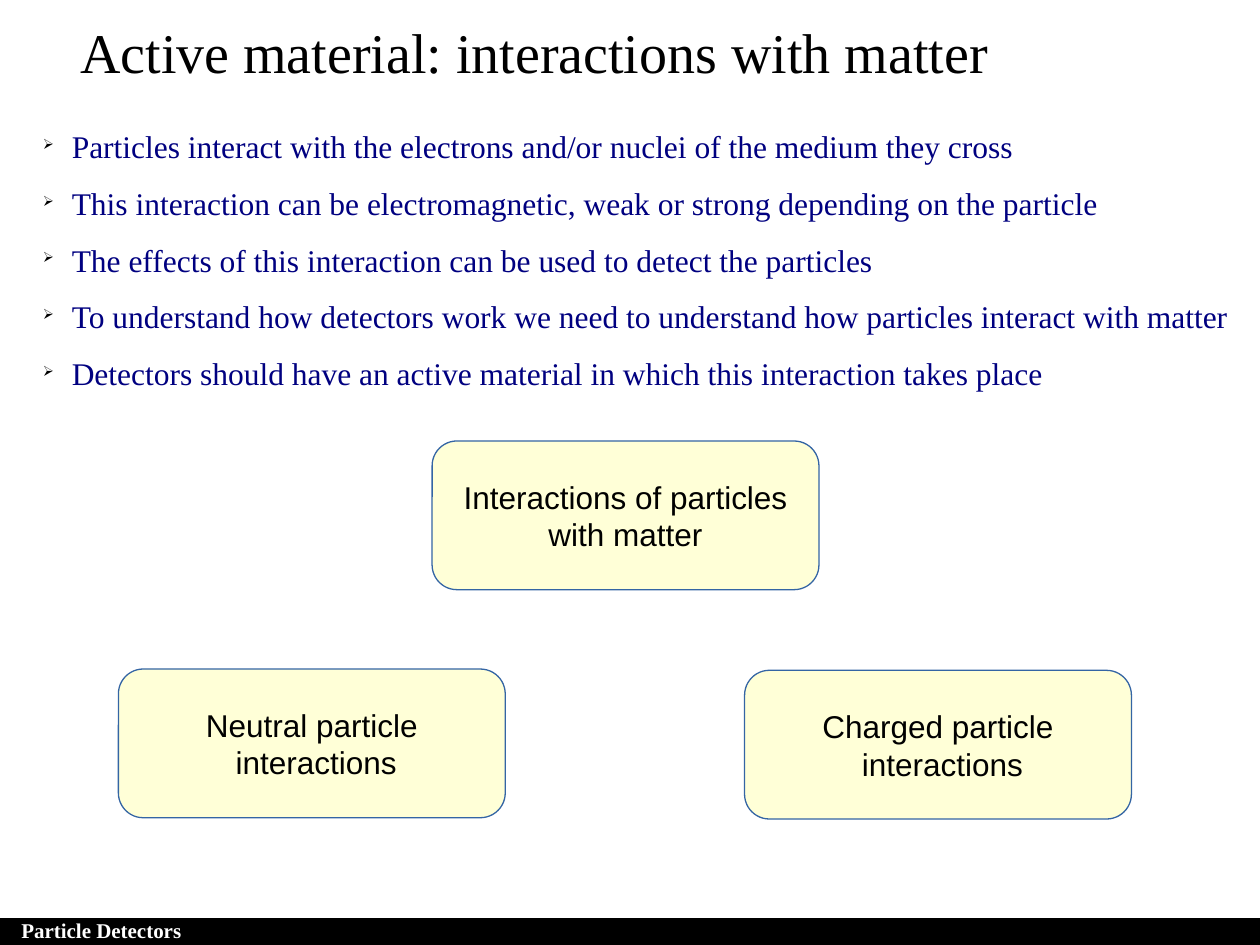
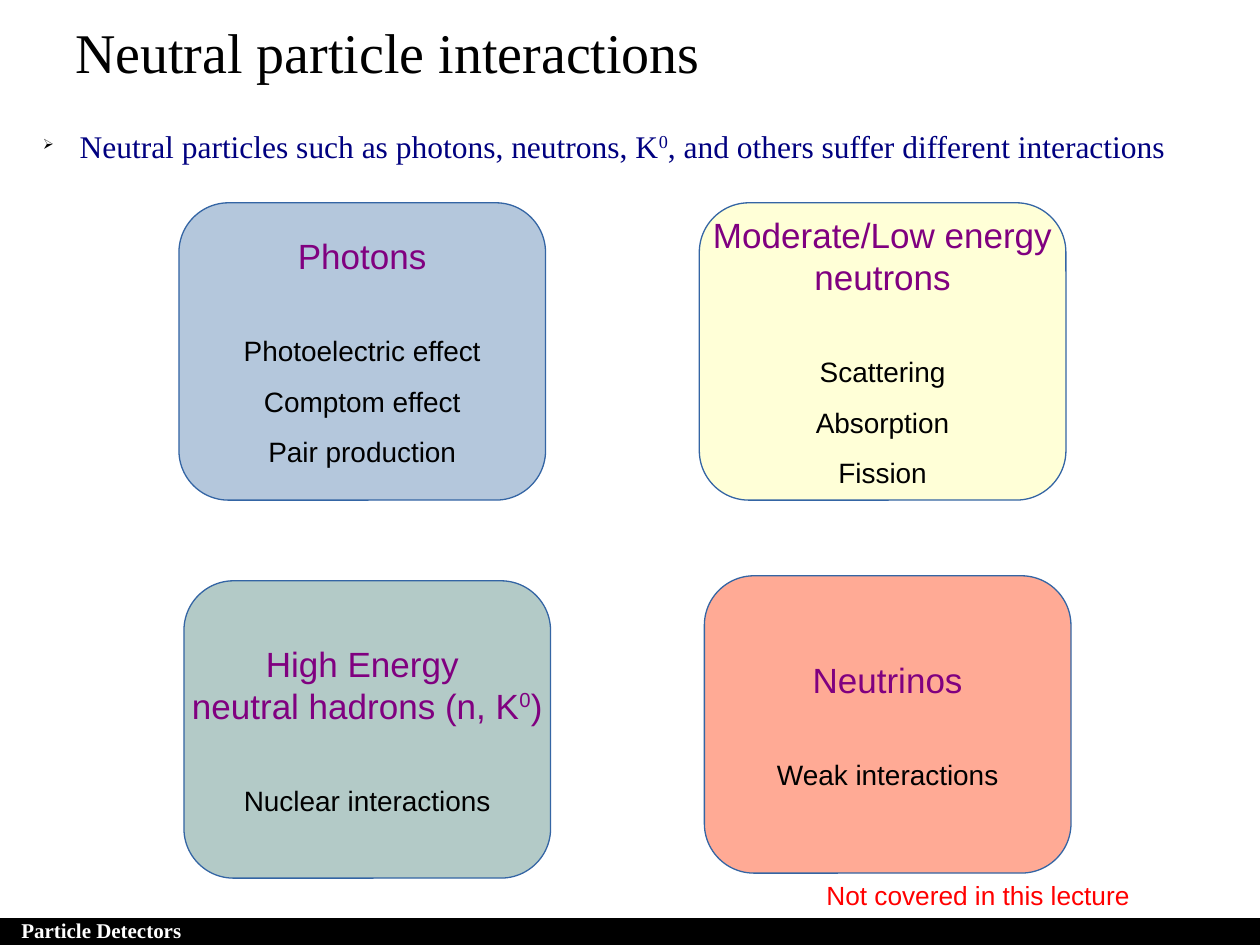
import pptx
import pptx.util
import pptx.dml.color
import pptx.enum.shapes
import pptx.enum.text
import pptx.oxml.ns
from lxml import etree

Inches, Pt = pptx.util.Inches, pptx.util.Pt
ALIGN = pptx.enum.text.PP_ALIGN
ANCHOR = pptx.enum.text.MSO_ANCHOR
SHAPE = pptx.enum.shapes.MSO_SHAPE

COLORS = {
    "black": "000000", "white": "FFFFFF", "navy": "000080", "purple": "800080",
    "red": "FF0000", "outline": "3465A4", "yellow": "FFFFD7", "blue": "B4C7DC",
    "green": "B3CAC7", "salmon": "FFAA95",
}
SERIF, SANS = "Times New Roman", "Arial"
STYLES = {
    "title": {"name": SERIF, "size": Pt(32), "color": "black"},
    "footer": {"name": SERIF, "size": Pt(12), "bold": True, "color": "white"},
    "bullet": {"name": SERIF, "size": Pt(18), "color": "navy"},
    "box": {"name": SANS, "size": Pt(18), "color": "black"},
    "heading": {"name": SANS, "size": Pt(20), "color": "purple"},
    "item": {"name": SANS, "size": Pt(16), "color": "black"},
    "note": {"name": SANS, "size": Pt(15), "color": "red"},
}
FOOTER = "Particle Detectors"
BOX_SIZE, CARD_SIZE = (3.07, 1.18), (2.91, 2.36)
HEADING_GAP = Pt(23)

SLIDES = [
    {
        "title": "Active material: interactions with matter",
        "title_at": (0.07, 0.09, 8.35, 0.71),
        "bullets": [
            "Particles interact with the electrons and/or nuclei of the medium they cross",
            "This interaction can be electromagnetic, weak or strong depending on the particle",
            "The effects of this interaction can be used to detect the particles",
            "To understand how detectors work we need to understand how particles interact with matter",
            "Detectors should have an active material in which this interaction takes place",
        ],
        "bullets_height": 4.94,
        "boxes": [
            ((0.94, 5.31), ["Neutral particle", " interactions"]),
            ((5.91, 5.32), ["Charged particle", " interactions"]),
            ((3.43, 3.5), ["Interactions of particles", "with matter"]),
        ],
    },
    {
        "title": "Neutral particle interactions",
        "title_at": (-0.05, 0.09, 6.26, 0.71),
        "bullets": [
            " Neutral particles such as photons, neutrons, K^0^, and others suffer different interactions",
        ],
        "bullets_height": 0.95,
        "cards": [
            ((1.42, 1.61), "blue", ["Photons"],
             ["Photoelectric effect", "Comptom effect", "Pair production"]),
            ((1.46, 4.61), "green", ["High Energy ", "neutral hadrons (n, K^0^)"],
             ["Nuclear interactions"]),
            ((5.55, 1.61), "yellow", ["Moderate/Low energy", "neutrons"],
             ["Scattering", "Absorption", "Fission"]),
            ((5.59, 4.57), "salmon", ["Neutrinos"], ["Weak interactions"]),
        ],
        "note": ("Not covered in this lecture", (6.46, 6.93, 3.31, 0.38)),
    },
]


def rgb(name):
    return pptx.dml.color.RGBColor.from_string(COLORS[name])


def set_frame(tf, wrap=True, anchor=ANCHOR.TOP, inset=(0.1, 0.05)):
    x, y = map(Inches, inset)
    values = {"word_wrap": wrap, "vertical_anchor": anchor,
              "auto_size": pptx.enum.text.MSO_AUTO_SIZE.NONE,
              "margin_left": x, "margin_right": x, "margin_top": y, "margin_bottom": y}
    for key, value in values.items():
        setattr(tf, key, value)


def add_runs(p, text, style):
    for i, piece in enumerate(text.split("^")):
        r = p.add_run()
        r.text = piece
        for key, value in STYLES[style].items():
            if key == "color":
                r.font.color.rgb = rgb(value)
            else:
                setattr(r.font, key, value)
        if i % 2:
            r._r.get_or_add_rPr().set("baseline", "33000")


def write(tf, lines, **formats):
    for i, (text, style, extra) in enumerate(lines):
        p = tf.paragraphs[0] if i == 0 else tf.add_paragraph()
        for key, value in {"space_before": Pt(0), **formats, **extra}.items():
            setattr(p, key, value)
        add_runs(p, text, style)


def add_bullet(p):
    pPr = p._p.get_or_add_pPr()
    pPr.set("marL", str(Inches(0.24)))
    pPr.set("indent", str(Inches(-0.23)))
    qn = pptx.oxml.ns.qn
    color = etree.SubElement(pPr, qn("a:buClr"))
    etree.SubElement(color, qn("a:srgbClr"), val=COLORS["black"])
    etree.SubElement(pPr, qn("a:buSzPct"), val="45000")
    etree.SubElement(pPr, qn("a:buChar"), char="➢")


def add_text(s, at, lines, inset=(0.1, 0.05), **formats):
    tf = s.shapes.add_textbox(*map(Inches, at)).text_frame
    set_frame(tf, inset=inset)
    write(tf, lines, **formats)
    return tf


def add_panel(s, kind, at, fill, line):
    sp = s.shapes.add_shape(kind, *map(Inches, at))
    sp.shadow.inherit = False
    sp.fill.solid()
    sp.fill.fore_color.rgb = rgb(fill)
    sp.line.color.rgb = rgb(line)
    sp.line.width = Pt(0.75)
    return sp


def add_box(s, at, fill, lines):
    sp = add_panel(s, SHAPE.ROUNDED_RECTANGLE, at, fill, "outline")
    set_frame(sp.text_frame, wrap=False, anchor=ANCHOR.MIDDLE)
    write(sp.text_frame, lines, alignment=ALIGN.CENTER)


def add_slide(prs, content):
    s = prs.slides.add_slide(prs.slide_layouts[5])
    add_panel(s, SHAPE.RECTANGLE, (0, 7.29, 10, 0.22), "black", "black")
    add_text(s, (-0.04, 7.23, 1.69, 0.37), [(FOOTER, "footer", {})], alignment=ALIGN.CENTER)

    title = s.shapes.title
    for key, value in zip(("left", "top", "width", "height"), content["title_at"]):
        setattr(title, key, Inches(value))
    set_frame(title.text_frame)
    write(title.text_frame, [(content["title"], "title", {})], alignment=ALIGN.CENTER)

    tf = add_text(s, (0.2, 0.78, 10.1, content["bullets_height"]),
                  [(text, "bullet", {}) for text in content["bullets"]],
                  inset=(0.13, 0.08), line_spacing=1.5)
    for p in tf.paragraphs:
        add_bullet(p)

    for corner, lines in content.get("boxes", []):
        add_box(s, corner + BOX_SIZE, "yellow", [(text, "box", {}) for text in lines])

    for corner, fill, headings, items in content.get("cards", []):
        lines = [(text, "heading", {}) for text in headings]
        for i, text in enumerate(items):
            gap = Pt(0) if i else HEADING_GAP
            lines.append((text, "item", {"line_spacing": 1.5, "space_before": gap}))
        add_box(s, corner + CARD_SIZE, fill, lines)

    if "note" in content:
        text, at = content["note"]
        add_text(s, at, [(text, "note", {})])


def main():
    prs = pptx.Presentation()
    prs.slide_width, prs.slide_height = Inches(10), Inches(7.5)
    for content in SLIDES:
        add_slide(prs, content)
    prs.save("out.pptx")


if __name__ == "__main__":
    main()
